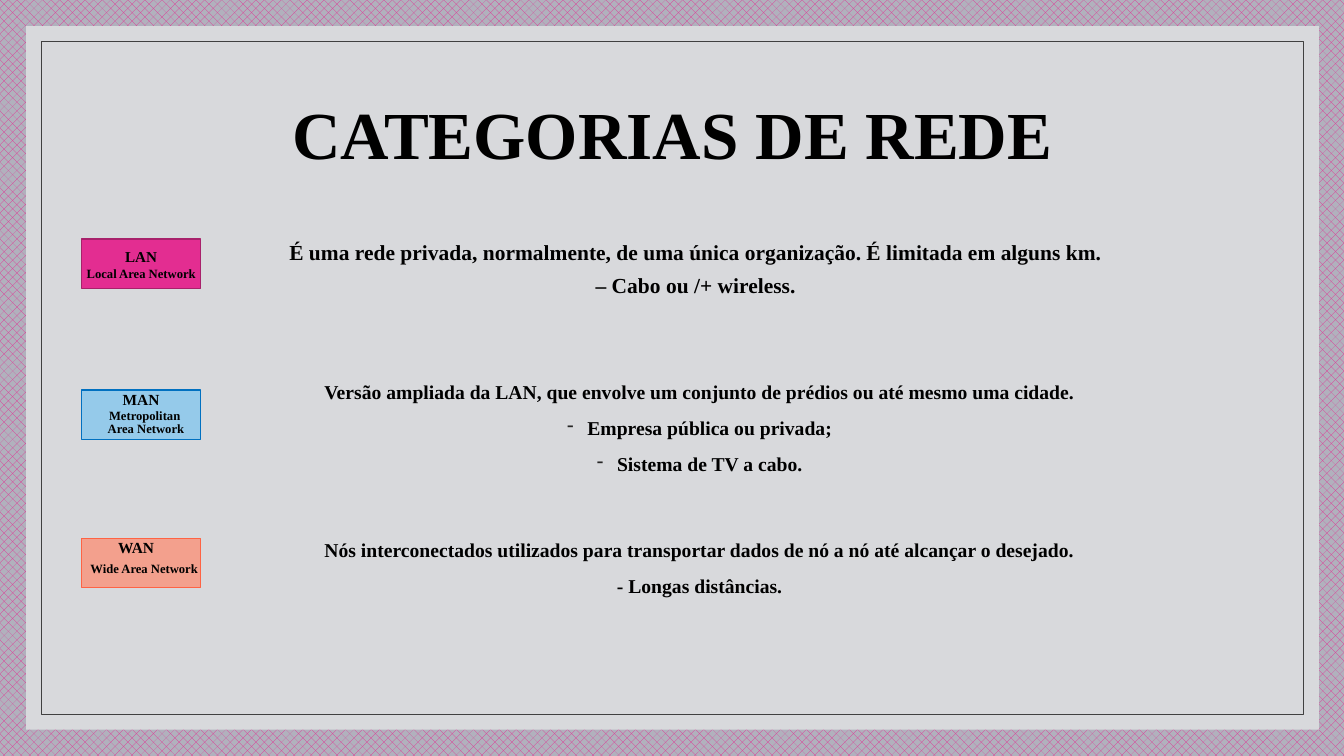
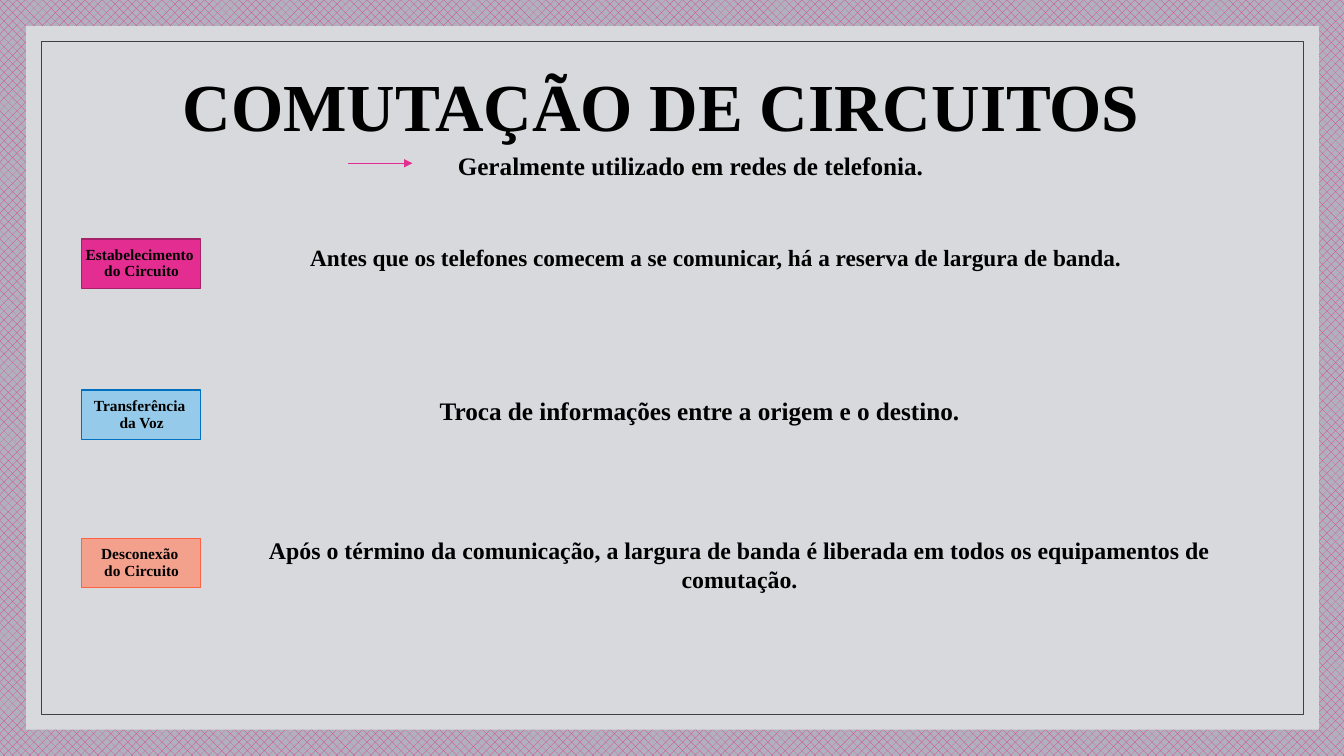
from lxml.etree import SubElement as Sub
from pptx import Presentation
from pptx.dml.color import RGBColor as Rgb
from pptx.enum.dml import MSO_PATTERN as Pat
from pptx.enum.shapes import MSO_CONNECTOR as Con, MSO_SHAPE as Geo
from pptx.enum.text import MSO_ANCHOR as Anc, PP_ALIGN as Al
from pptx.oxml.ns import qn
from pptx.util import Inches, Pt

HUES = {
    "pink": "E32D91", "plum": "A8216B", "sky": "95CAEA", "blue": "0070C0",
    "peach": "F3A08D", "coral": "FE6344", "grey": "B1B1BD", "card": "D8D9DC",
    "edge": "404040", "dash": "262626", "ink": "000000",
}
FONT = "Times New Roman"
# Top, fill and line of each category box
TAGS = [(2.37, "pink", "plum"), (3.87, "sky", "blue"), (5.34, "peach", "coral")]


def hue(name):
    return Rgb.from_string(HUES[name])


class Deck:
    def __init__(self):
        self.prs = Presentation()
        self.prs.slide_width = Inches(13.33)
        self.prs.slide_height = Inches(7.5)
        self.slide = None

    def page(self, title, left, top):
        """Start a slide with its pattern, card, frame, title and boxes."""
        self.slide = self.prs.slides.add_slide(self.prs.slide_layouts[6])
        fill = self.slide.background.fill
        fill.patterned()
        fill.pattern = Pat.from_xml("pct40")
        fill.fore_color.rgb = hue("pink")
        fill.back_color.rgb = hue("grey")
        self.rect((0.26, 0.26, 12.82, 6.98), "card")
        self.rect((0.41, 0.41, 12.52, 6.68), line="edge", width=0.5)
        self.text((left, top, 11, 1.5), [title], 48, ls=0.9, mid=True)
        for y, face, rim in TAGS:
            self.rect((0.81, y, 1.18, 0.49), face, rim)

    def rect(self, box, fill=None, line=None, width=1):
        shape = self.slide.shapes.add_shape(Geo.RECTANGLE, *map(Inches, box))
        shape.shadow.inherit = False
        if fill:
            shape.fill.solid()
            shape.fill.fore_color.rgb = hue(fill)
        else:
            shape.fill.background()
        if line:
            shape.line.color.rgb = hue(line)
            shape.line.width = Pt(width)
        else:
            shape.line.fill.background()

    def text(self, box, lines, size, ls=None, gap=0, mid=False, dash=()):
        """Centred bold text; dash holds the indexes of dashed lines."""
        frame = self.slide.shapes.add_textbox(*map(Inches, box)).text_frame
        frame.word_wrap = True
        frame.vertical_anchor = Anc.MIDDLE if mid else Anc.TOP
        for i, line in enumerate(lines):
            par = frame.add_paragraph() if i else frame.paragraphs[0]
            par.alignment = Al.CENTER
            if ls:
                par.line_spacing = ls
            if i and gap:
                par.space_before = Pt(gap)
            if i in dash:
                self.mark(par)
            run = par.add_run()
            run.text = line
            font = run.font
            font.name, font.size, font.bold = FONT, Pt(size), True
            font.color.rgb = hue("ink")

    def mark(self, par):
        props = par._p.get_or_add_pPr()
        props.set("marL", str(Inches(0.2)))
        props.set("indent", str(Inches(-0.2)))
        tint = Sub(props, qn("a:buClr"))
        Sub(tint, qn("a:srgbClr"), val=HUES["dash"])
        Sub(props, qn("a:buChar"), char="-")

    def label(self, box, lines, size, ls=0.9):
        self.text(box, lines, size, ls, mid=True)

    def arrow(self, x1, x2, y):
        line = self.slide.shapes.add_connector(
            Con.STRAIGHT, Inches(x1), Inches(y), Inches(x2), Inches(y))
        line.line.color.rgb = hue("pink")
        line.line.width = Pt(0.5)
        props = line._element.spPr
        Sub(props.find(qn("a:ln")), qn("a:tailEnd"), type="triangle")
        Sub(props, qn("a:effectLst"))


def main():
    deck = Deck()

    # Network categories
    deck.page("CATEGORIAS DE REDE", 1.17, 0.62)
    deck.label((0.48, 2.44, 1.84, 0.25), ["LAN"], 10.8, 0.7)
    deck.label((0.48, 2.6, 1.84, 0.25), ["Local Area Network"], 9)
    deck.label((0.32, 3.7, 2.16, 0.54), ["MAN"], 11)
    deck.label((0.27, 3.87, 2.33, 0.65), ["Metropolitan", " Area Network"], 9)
    deck.label((0.27, 5.17, 2.16, 0.54), ["WAN"], 11)
    deck.label((0.51, 5.52, 1.84, 0.25), ["Wide Area Network"], 9)
    deck.text((1.4, 2.37, 11, 0.65), [
        "É uma rede privada, normalmente, de uma única organização. "
        "É limitada em alguns km.",
        "– Cabo ou /+ wireless."], 15.3, ls=0.8, gap=9)
    deck.text((1.9, 3.72, 10.08, 1.06), [
        "Versão ampliada da LAN, que envolve um conjunto de prédios "
        "ou até mesmo uma cidade.",
        "Empresa pública ou privada;",
        "Sistema de TV a cabo."], 14, gap=9, dash=(1, 2))
    deck.text((1.61, 5.29, 10.66, 1.87), [
        "Nós interconectados utilizados para transportar dados de nó a nó "
        "até alcançar o desejado.",
        "- Longas distâncias."], 14, gap=9)

    # Circuit switching
    deck.page("COMUTAÇÃO DE CIRCUITOS", 1.06, 0.34)
    deck.text((1.35, 1.44, 11, 0.65),
              ["Geralmente utilizado em redes de telefonia."], 18)
    deck.arrow(3.45, 4.09, 1.62)
    steps = [("Estabelecimento ", "do Circuito"),
             ("Transferência ", "da Voz"),
             ("Desconexão ", "do Circuito")]
    for (y, _, _), step in zip(TAGS, steps):
        deck.label((0.53, y - 0.04, 1.75, 0.57), step, 11)
    deck.text((2.48, 2.4, 9.23, 0.37), [
        "Antes que os telefones comecem a se comunicar, "
        "há a reserva de largura de banda."], 16.6, ls=0.9)
    deck.text((1.9, 3.87, 10.08, 1.06),
              ["Troca de informações entre a origem e o destino."], 18)
    deck.text((2.15, 5.27, 10.37, 1.87), [
        "Após o término da comunicação, a largura de banda é liberada "
        "em todos os equipamentos de comutação."], 17)

    deck.prs.save("out.pptx")


if __name__ == "__main__":
    main()
